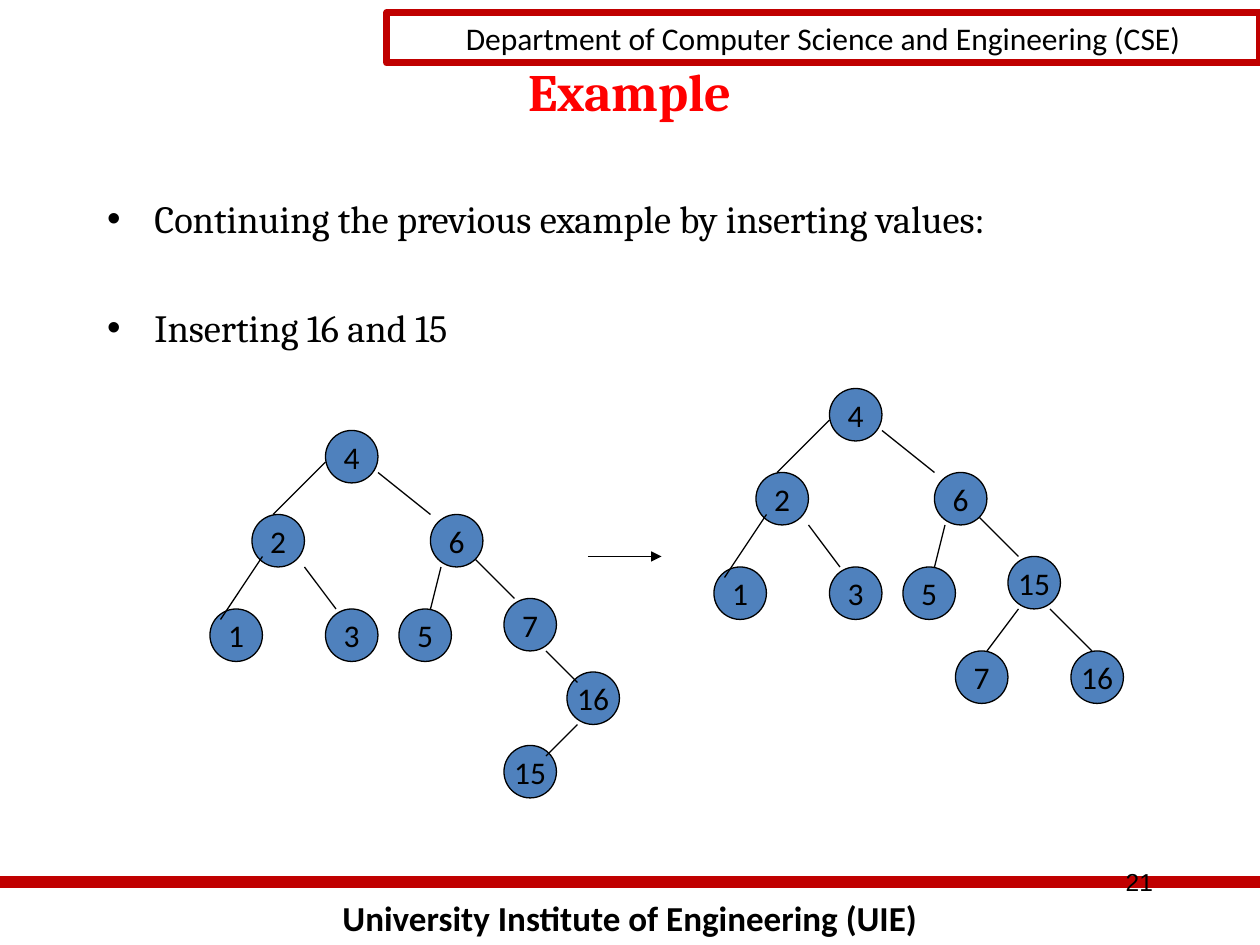
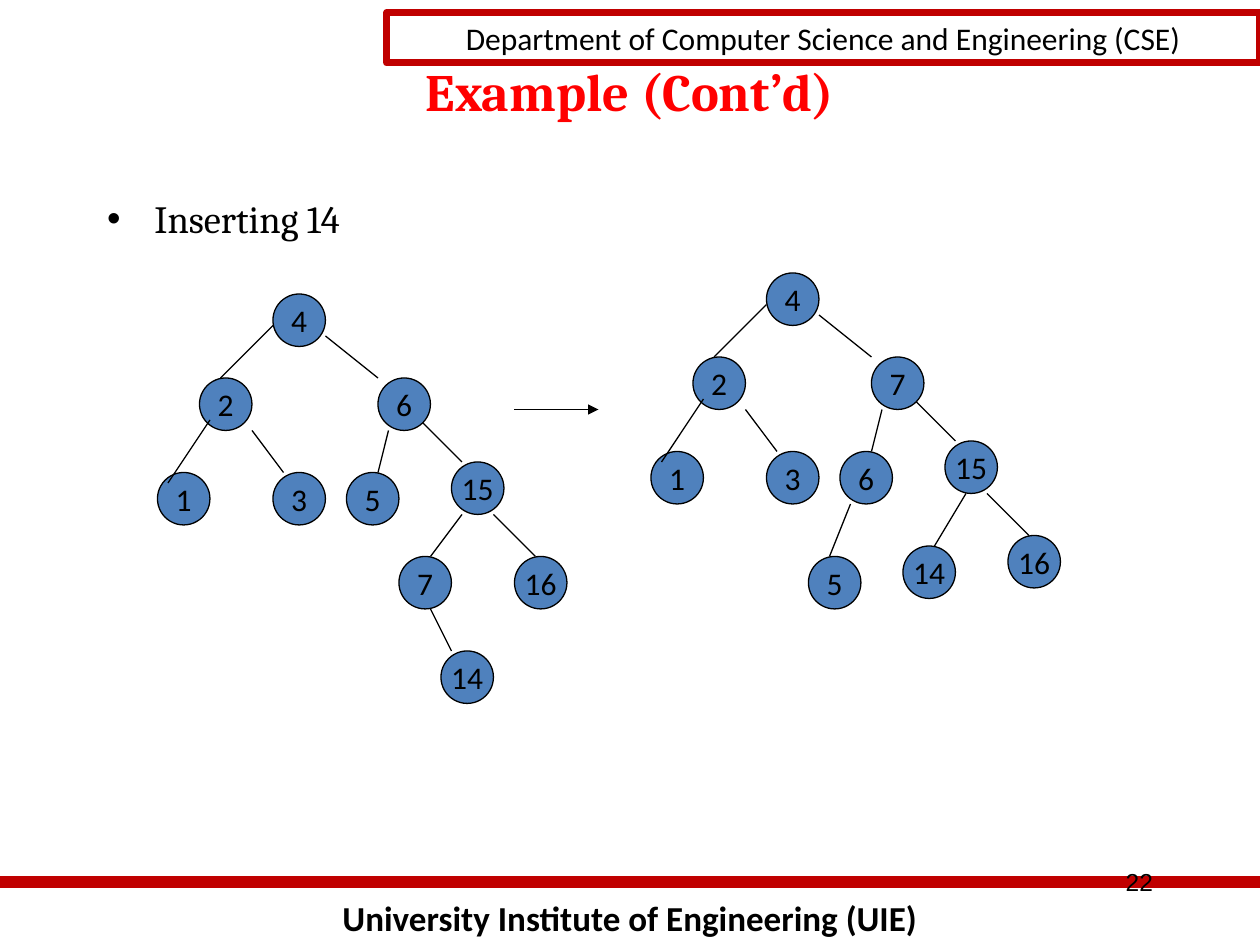
"""Build two slides on AVL tree insertions, each with a before and an after tree."""
from lxml import etree
from pptx import Presentation
from pptx.dml.color import RGBColor
from pptx.enum.shapes import MSO_CONNECTOR, MSO_SHAPE
from pptx.enum.text import MSO_ANCHOR, MSO_AUTO_SIZE, PP_ALIGN
from pptx.oxml.ns import qn
from pptx.util import Pt

LEFT, CENTER, RIGHT = PP_ALIGN.LEFT, PP_ALIGN.CENTER, PP_ALIGN.RIGHT
TOP, MIDDLE = MSO_ANCHOR.TOP, MSO_ANCHOR.MIDDLE
RECT, OVAL = MSO_SHAPE.RECTANGLE, MSO_SHAPE.OVAL
STRAIGHT = MSO_CONNECTOR.STRAIGHT
NO_AUTOFIT = MSO_AUTO_SIZE.NONE

BLACK, RED, BAND, NODE = "000000", "FF0000", "C00000", "4F81BD"
NODE_SIZE = 30

# Offsets from the root's top-left corner
BASE_NODES = [(0, 0), (-42, 48), (60, 48), (-66, 102), (0, 102), (42, 102), (102, 96)]
BACK_EDGE = (84, 72, 108, 96)
BASE_EDGES = [(0, 18, -30, 48), (30, 24, 60, 48), (-36, 72, -60, 108),
              (-12, 78, 6, 102), (66, 78, 60, 102)]
TO_16, TO_7 = (126, 126, 150, 150), (108, 126, 90, 150)

SLIDES = [
    {"title": "Example", "number": "21",
     "bullets": ["Continuing the previous example by inserting values:",
                 "Inserting 16 and 15"],
     "arrow": (336, 318, 378, 318),
     "trees": [
         {"root": (186, 246), "keys": [4, 2, 6, 1, 3, 5, 7],
          "nodes": {16: (138, 138), 15: (102, 180)},
          "edges": [(126, 126, 144, 144), (144, 168, 126, 186)]},
         {"root": (474, 222), "keys": [4, 2, 6, 1, 3, 5, 15],
          "nodes": {16: (138, 150), 7: (72, 150)},
          "edges": [TO_16, TO_7]}]},
    {"title": "Example (Cont’d)", "number": "22",
     "bullets": ["Inserting 14"],
     "arrow": (294, 234, 342, 234),
     "trees": [
         {"root": (156, 168), "keys": [4, 2, 6, 1, 3, 5, 15],
          "nodes": {16: (138, 150), 7: (72, 150), 14: (96, 204)},
          "edges": [TO_16, TO_7, (90, 180, 102, 204)]},
         {"root": (438, 156), "keys": [4, 2, 7, 1, 3, 6, 15],
          "nodes": {16: (138, 150), 5: (24, 162), 14: (78, 156)},
          "edges": [TO_16, (48, 132, 36, 162), (114, 126, 96, 156)]}]},
]


def set_text(shape, lines, size, font, color=BLACK, bold=False, align=CENTER,
             anchor=TOP, wrap=True):
    tf = shape.text_frame
    tf.text = "\n".join(lines)
    tf.word_wrap = wrap
    tf.auto_size = NO_AUTOFIT
    tf.vertical_anchor = anchor
    for p in tf.paragraphs:
        p.alignment = align
        p.font.size = Pt(size)
        p.font.name = font
        p.font.bold = bold
        p.font.color.rgb = RGBColor.from_string(color)


def add_line(s, ends, color=BLACK, width=0.75, origin=(0, 0)):
    x, y = origin
    x1, y1, x2, y2 = ends
    line = s.shapes.add_connector(STRAIGHT, Pt(x + x1), Pt(y + y1), Pt(x + x2), Pt(y + y2))
    line.line.color.rgb = RGBColor.from_string(color)
    line.line.width = Pt(width)
    etree.SubElement(line.element.spPr, qn("a:effectLst"))
    return line


prs = Presentation()
prs.slide_width, prs.slide_height = Pt(720), Pt(540)
layout = prs.slide_layouts[1]
slides = [prs.slides.add_slide(layout) for _ in SLIDES]

s = slides[0]
footer = s.shapes.add_textbox(Pt(0), Pt(508.5), Pt(720), Pt(31.5))
set_text(footer, ["University Institute of Engineering (UIE)"], 20, "Calibri", bold=True)
rule = add_line(s, (0, 504, 720, 504), BAND, 7)
header = s.shapes.add_shape(RECT, Pt(221), Pt(7.2), Pt(499), Pt(28.8))
header.shadow.inherit = False
header.fill.background()
header.line.color.rgb = RGBColor.from_string(BAND)
header.line.width = Pt(4)
set_text(header, ["Department of Computer Science and Engineering (CSE)"], 18, "Calibri",
         anchor=MIDDLE)
for shape_id, shape in enumerate((footer, rule, header), 101):
    shape.element.xpath(".//p:cNvPr")[0].set("id", str(shape_id))
    layout.shapes.element.append(shape.element)

for s, content in zip(slides, SLIDES):
    number = s.shapes.add_textbox(Pt(516), Pt(492), Pt(150), Pt(36))
    set_text(number, [content["number"]], 14, "Arial", align=RIGHT)

    title = s.shapes.title
    title.left, title.top, title.width, title.height = Pt(54), Pt(30), Pt(612), Pt(60)
    set_text(title, [content["title"]], 30, "Cambria", RED, bold=True)

    body = s.placeholders[1]
    body.left, body.top, body.width, body.height = Pt(54), Pt(108), Pt(612), Pt(372)
    set_text(body, content["bullets"], 22, "Cambria", align=LEFT)
    for p in body.text_frame.paragraphs[1:]:
        p.space_before = Pt(36)

    for tree in content["trees"]:
        x, y = tree["root"]
        add_line(s, BACK_EDGE, origin=tree["root"])
        nodes = [*zip(tree["keys"], BASE_NODES), *tree["nodes"].items()]
        for key, (dx, dy) in nodes:
            node = s.shapes.add_shape(OVAL, Pt(x + dx), Pt(y + dy), Pt(NODE_SIZE), Pt(NODE_SIZE))
            node.shadow.inherit = False
            node.fill.solid()
            node.fill.fore_color.rgb = RGBColor.from_string(NODE)
            node.line.color.rgb = RGBColor.from_string(BLACK)
            node.line.width = Pt(0.75)
            set_text(node, [str(key)], 18, "Calibri", anchor=MIDDLE, wrap=False)
        for edge in BASE_EDGES + tree["edges"]:
            add_line(s, edge, origin=tree["root"])

    arrow = add_line(s, content["arrow"])
    etree.SubElement(arrow.line._get_or_add_ln(), qn("a:tailEnd"), type="triangle")

prs.save("out.pptx")
